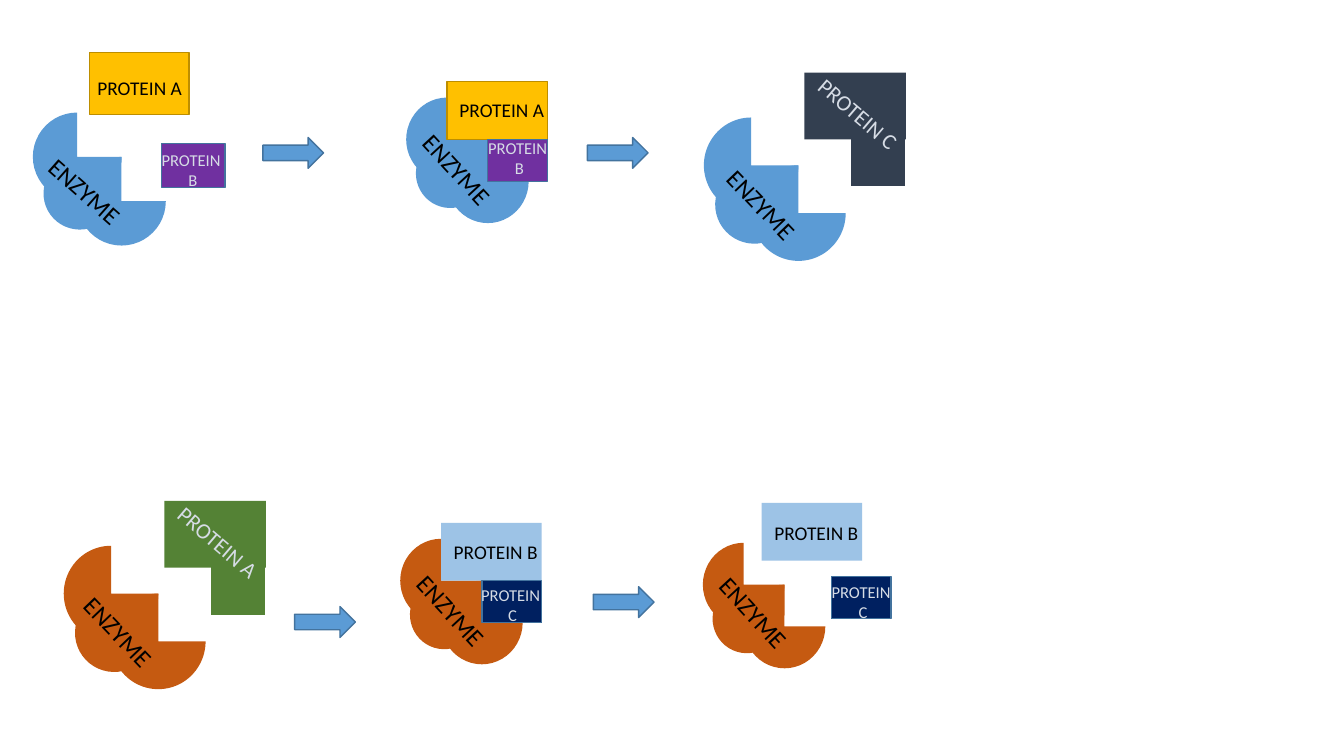
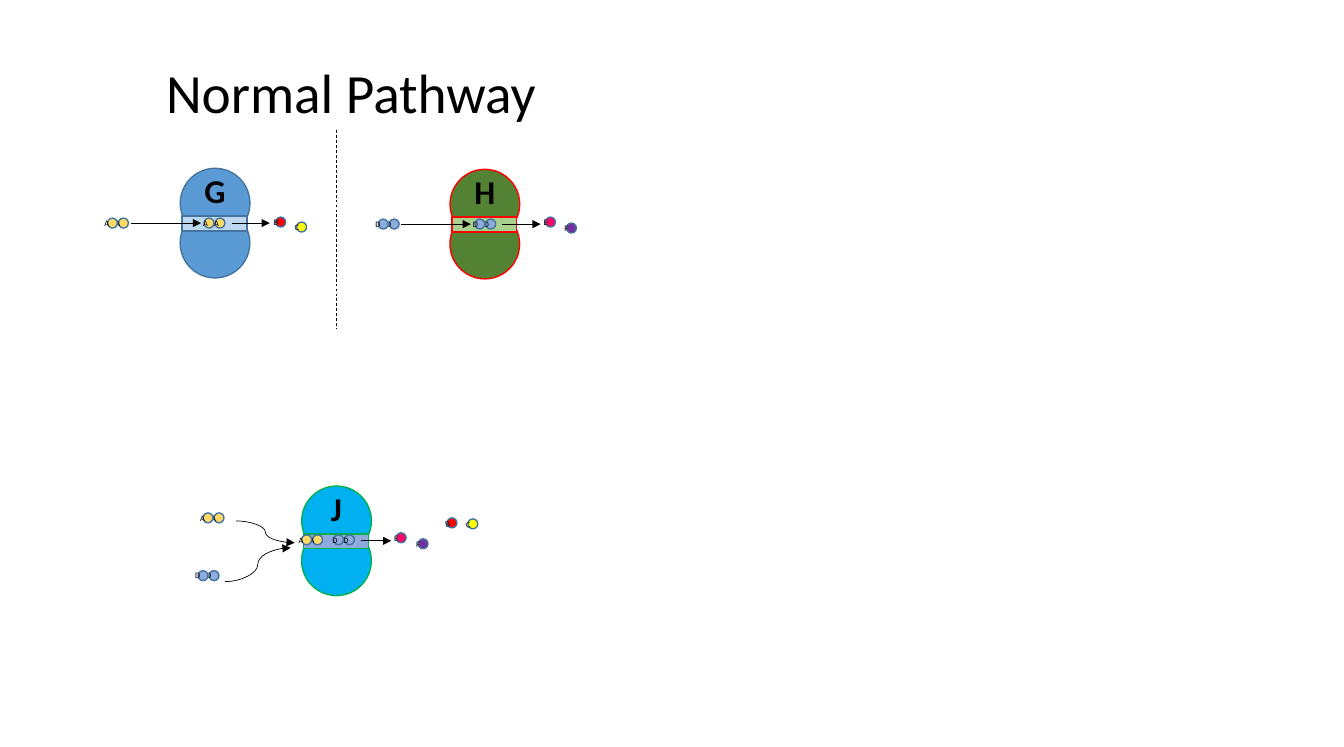
from lxml import etree
from pptx import Presentation
from pptx.dml.color import RGBColor
from pptx.enum.dml import MSO_LINE
from pptx.enum.shapes import MSO_CONNECTOR, MSO_SHAPE
from pptx.enum.text import MSO_AUTO_SIZE, PP_ALIGN
from pptx.oxml.ns import qn
from pptx.util import Inches, Pt

FONT = "Calibri"
COLORS = {
    "black": "000000", "pale": "D6DCE5", "edge": "43739E", "blue": "5B9BD5",
    "gold": "FFC000", "gold edge": "BD8E00", "purple": "7030A0", "slate": "333F50",
    "orange": "C55A11", "green": "548235", "sky": "9DC3E6", "navy": "002060",
    "ice": "BDD7EE", "mint": "A9D18E", "lavender": "8FAADC", "sand": "FFD966",
    "red": "FF0000", "yellow": "FFFF00", "pink": "FF0066", "cyan": "00B0F0",
    "leaf": "00B050",
}

# Slide 1: left, top, width, height, colour; label left, top, angle
ENZYMES = [
    (0.33, 1.13, 0.89, 0.89, "blue", 0.30, 1.79, 41.5),
    (4.08, 0.98, 0.82, 0.84, "blue", 4.03, 1.58, 47.3),
    (7.07, 1.18, 0.95, 0.96, "blue", 7.09, 1.93, 46.3),
    (0.64, 5.48, 0.95, 0.96, "orange", 0.63, 6.22, 46.3),
    (4.02, 5.41, 0.82, 0.84, "orange", 3.97, 6.01, 47.3),
    (7.06, 5.45, 0.82, 0.84, "orange", 7.01, 6.03, 47.3),
]
# Large proteins: box, fill, line; label text, left, top, width, alignment
LARGE_PROTEINS = [
    ((0.90, 0.53, 1.00, 0.62), "gold", "gold edge", "PROTEIN A", 0.88, 0.72, 1.54, "left"),
    ((4.49, 0.82, 1.01, 0.58), "gold", "gold edge", "PROTEIN A", 4.49, 0.94, 1.10, "center"),
    ((4.43, 5.25, 1.01, 0.58), "sky", None, "PROTEIN B", 4.43, 5.37, 1.10, "center"),
    ((7.65, 5.05, 1.01, 0.58), "sky", None, "PROTEIN B", 7.65, 5.18, 1.10, "center"),
]
# Small proteins: box, fill; letter, label left, top, width
SMALL_PROTEINS = [
    ((1.62, 1.44, 0.64, 0.44), "purple", "B", 1.15, 1.46, 1.54),
    ((4.90, 1.40, 0.60, 0.42), "purple", "B", 4.43, 1.34, 1.54),
    ((4.84, 5.83, 0.60, 0.42), "navy", "C", 4.36, 5.82, 1.54),
    ((8.35, 5.79, 0.60, 0.42), "navy", "C", 8.20, 5.79, 0.90),
]
# Joined proteins: left, top, colour, label
JOINED_PROTEINS = [
    (8.08, 0.73, "slate", "PROTEIN C"),
    (1.65, 5.03, "green", "PROTEIN A"),
]
ARROWS = [(2.64, 1.38), (5.90, 1.38), (2.96, 6.09), (5.96, 5.89)]

# Slide 2: pairs are (left, top, letter, label shift); products are
# (left, top, letter, label angle); arrows are (x1, y1, x2, y2)
PATHWAYS = [
    {"name": "G", "at": (1.81, 1.69), "fill": "blue", "line": "edge", "band": "ice",
     "pairs": [(1.08, 2.19, "A", 0.03), (2.05, 2.19, "A", 0.01)],
     "products": [(2.77, 2.18, "B", 0), (2.98, 2.23, "C", 0)],
     "arrows": [(1.32, 2.24, 2.02, 2.24), (2.33, 2.24, 2.71, 2.24)], "curves": []},
    {"name": "H", "at": (4.52, 1.70), "fill": "green", "line": "red", "band": "mint",
     "pairs": [(3.80, 2.20, "D", 0.03), (4.77, 2.20, "D", 0.02)],
     "products": [(5.48, 2.18, "E", 0), (5.69, 2.24, "F", 0)],
     "arrows": [(4.03, 2.25, 4.73, 2.25), (5.04, 2.25, 5.43, 2.25)], "curves": []},
    {"name": "J", "at": (3.03, 4.88), "fill": "cyan", "line": "leaf", "band": "lavender",
     "pairs": [(3.35, 5.37, "D", 0.01), (1.99, 5.73, "D", 0.03),
               (2.04, 5.15, "A", 0.03), (3.03, 5.37, "A", 0.03)],
     "products": [(3.98, 5.35, "E", 0), (4.20, 5.41, "F", 0),
                  (4.49, 5.20, "B", 347.8), (4.70, 5.21, "C", 347.8)],
     "arrows": [(3.63, 5.43, 3.93, 5.43)],
     "curves": [(2.37, 5.23, 2.96, 5.45), (2.26, 5.84, 2.92, 5.50)]},
]
MOLECULES = {"A": "sand", "B": "red", "C": "yellow", "D": "lavender",
             "E": "pink", "F": "purple"}
ALIGN = {"left": PP_ALIGN.LEFT, "center": PP_ALIGN.CENTER}


def rgb(name):
    return RGBColor.from_string(COLORS[name])


def add_block(page, kind, box, fill, line=None, angle=0):
    shape = page.shapes.add_shape(kind, *map(Inches, box))
    shape.shadow.inherit = False
    shape.rotation = angle
    shape.fill.solid()
    shape.fill.fore_color.rgb = rgb(fill)
    if line:
        shape.line.color.rgb = rgb(line)
        shape.line.width = Pt(1)
    else:
        shape.line.fill.background()


def add_label(page, box, lines, size, color="black", align="center",
              angle=0, bold=False, wrap=True, inset=0.1):
    label = page.shapes.add_textbox(*map(Inches, box))
    label.rotation = angle
    frame = label.text_frame
    frame.word_wrap = wrap
    frame.auto_size = MSO_AUTO_SIZE.SHAPE_TO_FIT_TEXT
    frame.margin_left = frame.margin_right = Inches(inset)
    for index, text in enumerate(lines):
        para = frame.add_paragraph() if index else frame.paragraphs[0]
        para.alignment = ALIGN[align]
        span = para.add_run()
        span.text = text
        span.font.name = FONT
        span.font.size = Pt(size)
        span.font.bold = bold
        span.font.color.rgb = rgb(color)


def add_line(page, ends, kind=MSO_CONNECTOR.STRAIGHT, arrow=True):
    line = page.shapes.add_connector(kind, *map(Inches, ends))
    line.line.color.rgb = rgb("black")
    line.line.width = Pt(0.5)
    if arrow:
        etree.SubElement(line.line._get_or_add_ln(), qn("a:tailEnd"), type="triangle")
    else:
        line.line.dash_style = MSO_LINE.DASH
    etree.SubElement(line._element.spPr, qn("a:effectLst"))


def add_enzyme(page, left, top, width, height, color, text_left, text_top, angle):
    middle = top + height / 2
    add_block(page, MSO_SHAPE.PIE, (left, top, width, height), color)
    add_block(page, MSO_SHAPE.PIE, (left + width / 2, middle, width, height), color)
    add_block(page, MSO_SHAPE.CHORD,
              (left + 0.12 * width, middle, 0.83 * width, 0.82 * height), color, angle=339.1)
    add_label(page, (text_left, text_top, 1.27, 0.4), ["ENZYME"], 18,
              align="left", angle=angle)


def add_molecule(page, left, top, letter, shift=0.02, angle=0):
    add_block(page, MSO_SHAPE.OVAL, (left, top, 0.1, 0.1), MOLECULES[letter], "edge")
    add_label(page, (left - shift, top - 0.05, 0.1, 0.2), [letter], 6,
              align="left", angle=angle, inset=0)


def add_pathway(page, pathway):
    left, top = pathway["at"]
    fill, line = pathway["fill"], pathway["line"]
    # Two lobes, the band between them and the name
    for drop, angle in ((0.4, 292.5), (0, 112.5)):
        add_block(page, MSO_SHAPE.CHORD, (left, top + drop, 0.7, 0.7), fill, line, angle)
    add_block(page, MSO_SHAPE.RECTANGLE, (left + 0.02, top + 0.48, 0.65, 0.15),
              pathway["band"], line)
    add_label(page, (left + 0.13, top - 0.03, 0.44, 0.5), [pathway["name"]], 24, bold=True)
    # Arrows and molecules
    for ends in pathway["arrows"]:
        add_line(page, ends)
    for ends in pathway["curves"]:
        add_line(page, ends, MSO_CONNECTOR.CURVE)
    for x, y, letter, shift in pathway["pairs"]:
        for step in (0.11, 0):
            add_molecule(page, x + step, y, letter, shift)
    for x, y, letter, angle in pathway["products"]:
        add_molecule(page, x, y, letter, angle=angle)


def build_enzyme_page(page):
    for enzyme in ENZYMES:
        add_enzyme(page, *enzyme)
    for box, fill, line, text, left, top, width, align in LARGE_PROTEINS:
        add_block(page, MSO_SHAPE.RECTANGLE, box, fill, line)
        add_label(page, (left, top, width, 0.34), [text], 14, align=align)
    for box, fill, letter, left, top, width in SMALL_PROTEINS:
        add_block(page, MSO_SHAPE.FLOWCHART_PROCESS, box, fill, "edge")
        add_label(page, (left, top, width, 0.5), ["PROTEIN", " " + letter], 12, "pale")
    for left, top, color, text in JOINED_PROTEINS:
        add_block(page, MSO_SHAPE.FLOWCHART_PROCESS,
                  (left + 0.47, top + 0.66, 0.54, 0.48), color)
        add_block(page, MSO_SHAPE.RECTANGLE, (left, top, 1.02, 0.67), color)
        add_label(page, (left - 0.23, top + 0.23, 1.54, 0.37), [text], 16, "pale", angle=40.5)
    for left, top in ARROWS:
        add_block(page, MSO_SHAPE.RIGHT_ARROW, (left, top, 0.61, 0.31), "blue", "edge")


def build_pathway_page(page):
    add_label(page, (1.55, 0.54, 3.95, 0.77), ["Normal Pathway"], 40, wrap=False)
    add_line(page, (3.38, 1.31, 3.38, 3.3), arrow=False)
    for pathway in PATHWAYS:
        add_pathway(page, pathway)


def main():
    deck = Presentation()
    deck.slide_width, deck.slide_height = Inches(13.5), Inches(7.5)
    for build in (build_enzyme_page, build_pathway_page):
        build(deck.slides.add_slide(deck.slide_layouts[6]))
    deck.save("out.pptx")


if __name__ == "__main__":
    main()
